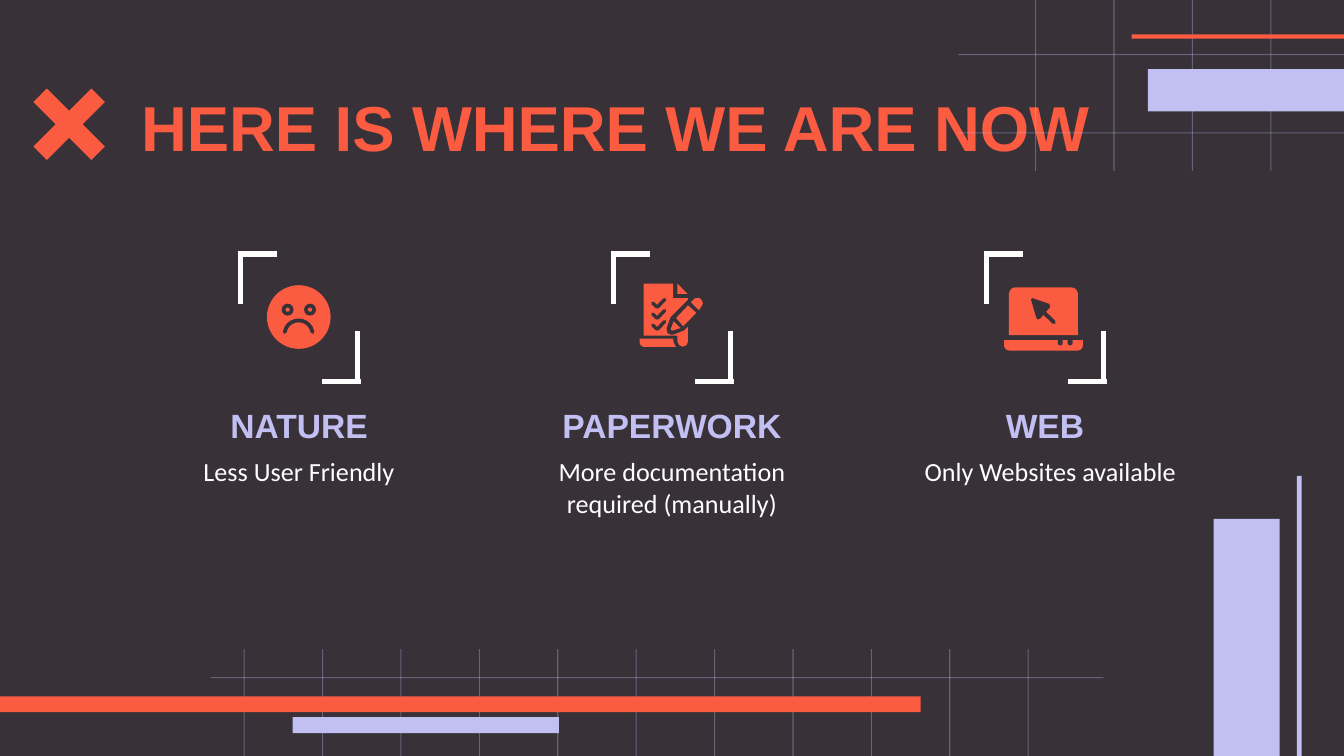
from dataclasses import dataclass

from lxml import etree
from pptx import Presentation
from pptx.dml.color import RGBColor
from pptx.enum.shapes import MSO_CONNECTOR, MSO_SHAPE
from pptx.enum.text import MSO_ANCHOR, MSO_AUTO_SIZE, PP_ALIGN
from pptx.oxml.ns import qn
from pptx.util import Pt

RECT = MSO_SHAPE.RECTANGLE
OVAL = MSO_SHAPE.OVAL
ARC = MSO_SHAPE.ARC
CROSS = MSO_SHAPE.MATH_MULTIPLY
ROUND = MSO_SHAPE.ROUND_2_SAME_RECTANGLE
STRAIGHT = MSO_CONNECTOR.STRAIGHT
MIDDLE, TOP = MSO_ANCHOR.MIDDLE, MSO_ANCHOR.TOP
LEFT, CENTER = PP_ALIGN.LEFT, PP_ALIGN.CENTER
FIXED = MSO_AUTO_SIZE.NONE

DARK, CORAL, LILAC, WHITE = "383138", "FA5B41", "C2C0F2", "FFFFFF"
WIDE, HIGH = 720, 405
CELL = 42
CARD_STEP = 199.8
INSET = Pt(7.2)


@dataclass
class Box:
    x: float
    y: float
    w: float
    h: float


@dataclass
class Bar:
    box: Box
    color: str


@dataclass
class Grid:
    cols: list[float]
    rows: list[float]
    left: float
    right: float
    top: float
    base: float


@dataclass
class Card:
    head: str
    note: str
    width: float = 146.2


@dataclass
class Style:
    size: float
    font: str
    color: str
    bold: bool
    align: PP_ALIGN
    anchor: MSO_ANCHOR


TITLE = Style(34, "Arial", CORAL, True, LEFT, MIDDLE)
HEAD = Style(18, "Arial", LILAC, True, CENTER, MIDDLE)
NOTE = Style(14, "Calibri", WHITE, False, CENTER, TOP)

BARS = [
    Bar(Box(0, 373, 493.2, 8.6), CORAL),
    Bar(Box(650.2, 278, 35.3, 127), LILAC),
    Bar(Box(694.8, 254.9, 2.6, 150.1), LILAC),
    Bar(Box(156.8, 384.2, 142.7, 8.6), LILAC),
    Bar(Box(615, 37, 105, 22.7), LILAC),
    Bar(Box(606.2, 18.5, 113.8, 2.2), CORAL),
]
GRIDS = [
    Grid([554.8 + CELL * i for i in range(4)], [29.2, 29.2 + CELL], 513.4, WIDE, 0, 91.6),
    Grid([130.8 + CELL * i for i in range(11)], [363], 113, 591.1, 347.8, HIGH),
]
CARDS = [
    Card("NATURE", "Less User Friendly"),
    Card("PAPERWORK", "More documentation required (manually)"),
    Card("WEB", "Only Websites available", 151.9),
]
MARKS = [
    (128.9, 162.7, 128.9, 136.1),
    (127.4, 136.1, 148.3, 136.1),
    (191.6, 177.3, 191.6, 204.3),
    (193.3, 204.3, 172.4, 204.3),
]
PAPER = [
    [(344.9, 152), (360.7, 152), (360.7, 159.8), (368.6, 159.8), (368.6, 160.6),
     (359.3, 169.9), (357.1, 175.9), (357.6, 178.6), (359.3, 179.3), (361, 179.3),
     (366.5, 177.1), (368.6, 175), (368.6, 183), (367.8, 185), (365.8, 185.8),
     (364, 185), (362.9, 183), (362.9, 179.8), (344.9, 179.8)],
    [(362.9, 151.9), (362.9, 157.5), (368.3, 157.5)],
    [(342.7, 181.4), (360.7, 181.4), (360.7, 183), (362, 185.8), (344.5, 185.8),
     (343.2, 185), (342.7, 183.5)],
    [(370.1, 162), (372.2, 159.9), (373.7, 159.6), (375.1, 159.9), (376.2, 161.3),
     (376.6, 162.7), (375.8, 164.2), (374.4, 166.3)],
    [(368.6, 163.6), (362.2, 170.4), (366, 174.8), (373, 167.6)],
    [(360.9, 172.2), (359.3, 176.4), (360, 177.2), (364.6, 175.8)],
]
ARROW = [(552.3, 160.4), (553.2, 159.8), (562.3, 162.9), (562.5, 164.7),
         (557.2, 170.8), (555.8, 171.2), (555.1, 170)]


def rgb(color: str) -> RGBColor:
    return RGBColor.from_string(color)


def paint(shape, color: str) -> None:
    shape.shadow.inherit = False
    shape.fill.solid()
    shape.fill.fore_color.rgb = rgb(color)
    shape.line.fill.background()


def stroke(shape, color: str, width: float) -> None:
    shape.line.color.rgb = rgb(color)
    shape.line.width = Pt(width)


def round_cap(shape) -> None:
    shape.shadow.inherit = False
    shape.fill.background()
    shape._element.spPr.find(qn("a:ln")).set("cap", "rnd")


def block(slide, kind, box: Box, color: str, *adjust: float):
    shape = slide.shapes.add_shape(kind, Pt(box.x), Pt(box.y), Pt(box.w), Pt(box.h))
    for i, value in enumerate(adjust):
        shape.adjustments[i] = value
    paint(shape, color)
    return shape


def rule(slide, ends: tuple, color: str, width: float, alpha: int = 100) -> None:
    shape = slide.shapes.add_connector(STRAIGHT, *[Pt(v) for v in ends])
    stroke(shape, color, width)
    props = shape._element.spPr
    if alpha < 100:
        tint = next(props.iter(qn("a:srgbClr")))
        etree.SubElement(tint, qn("a:alpha")).set("val", str(alpha * 1000))
    etree.SubElement(props, qn("a:effectLst"))


def trace(slide, points: list, close: bool = True):
    spots = [(Pt(x), Pt(y)) for x, y in points]
    pen = slide.shapes.build_freeform(*spots[0], scale=1.0)
    pen.add_line_segments(spots[1:], close=close)
    return pen.convert_to_shape()


def curve(slide, points: list, color: str, width: float) -> None:
    shape = trace(slide, points, False)
    stroke(shape, color, width)
    round_cap(shape)


def write(shape, text: str, box: Box, style: Style) -> None:
    places = {"left": box.x, "top": box.y, "width": box.w, "height": box.h}
    for name, value in places.items():
        setattr(shape, name, Pt(value))
    frame = shape.text_frame
    frame.text = text
    layout = {"word_wrap": True, "auto_size": FIXED, "vertical_anchor": style.anchor}
    layout |= {f"margin_{side}": INSET for side in ("left", "right", "top", "bottom")}
    for name, value in layout.items():
        setattr(frame, name, value)
    line = frame.paragraphs[0]
    line.alignment = style.align
    font = line.runs[0].font
    for name, value in {"size": Pt(style.size), "name": style.font, "bold": style.bold}.items():
        setattr(font, name, value)
    font.color.rgb = rgb(style.color)


def label(slide, text: str, box: Box, style: Style) -> None:
    write(slide.shapes.add_textbox(0, 0, 0, 0), text, box, style)


def draw_grid(slide, grid: Grid) -> None:
    lines = [(x, grid.top, x, grid.base) for x in grid.cols]
    lines += [(grid.left, y, grid.right, y) for y in grid.rows]
    for ends in lines:
        rule(slide, ends, LILAC, 0.6, 35)


def draw_card(slide, card: Card, shift: float) -> None:
    label(slide, card.head, Box(87.1 + shift, 216.7, 146.2, 22.3), HEAD)
    label(slide, card.note, Box(87.1 + shift, 236.9, card.width, 68.4), NOTE)
    for xa, ya, xb, yb in MARKS:
        rule(slide, (xa + shift, ya, xb + shift, yb), WHITE, 3)


def draw_face(slide) -> None:
    block(slide, OVAL, Box(143, 152.8, 34.1, 34.1), CORAL)
    for x in (154.1, 166.1):
        for size, color in ((6.4, DARK), (2.2, CORAL)):
            block(slide, OVAL, Box(x - size / 2, 165.9 - size / 2, size, size), color)
    mouth = slide.shapes.add_shape(ARC, Pt(152.4), Pt(171.7), Pt(15.2), Pt(15.2))
    mouth.adjustments[0], mouth.adjustments[1] = 114, 210
    stroke(mouth, DARK, 2)
    round_cap(mouth)


def draw_paper(slide) -> None:
    for points in PAPER:
        paint(trace(slide, points), CORAL)
    for i in range(3):
        y = 162.4 + 5.9 * i
        curve(slide, [(349.7, y), (352.1, y + 2.2), (356.1, y - 1.9)], DARK, 1.8)


def draw_laptop(slide) -> None:
    block(slide, ROUND, Box(540.5, 153.9, 37, 25.6), CORAL, 0.14, 0)
    block(slide, ROUND, Box(537.9, 182.2, 42.3, 5.6), CORAL, 0, 0.5)
    for x in (566.7, 572):
        block(slide, ROUND, Box(x, 182.2, 2.6, 2.9), DARK, 0, 0.5)
    paint(trace(slide, ARROW), DARK)
    curve(slide, [(558.7, 166.9), (564.6, 172.6)], DARK, 2.1)


def main() -> None:
    deck = Presentation()
    deck.slide_width, deck.slide_height = Pt(WIDE), Pt(HIGH)
    slide = deck.slides.add_slide(deck.slide_layouts[5])
    slide.background.fill.solid()
    slide.background.fill.fore_color.rgb = rgb(DARK)
    block(slide, CROSS, Box(7.2, 36.7, 59.8, 59.8), CORAL, 0.171)
    for grid in GRIDS:
        draw_grid(slide, grid)
    for bar in BARS:
        block(slide, RECT, bar.box, bar.color)
    write(slide.shapes.title, "HERE IS WHERE WE ARE NOW", Box(68.4, 42.8, 581.8, 49.7), TITLE)
    for i, card in enumerate(CARDS):
        draw_card(slide, card, CARD_STEP * i)
    for draw in (draw_face, draw_paper, draw_laptop):
        draw(slide)
    deck.save("out.pptx")


if __name__ == "__main__":
    main()
